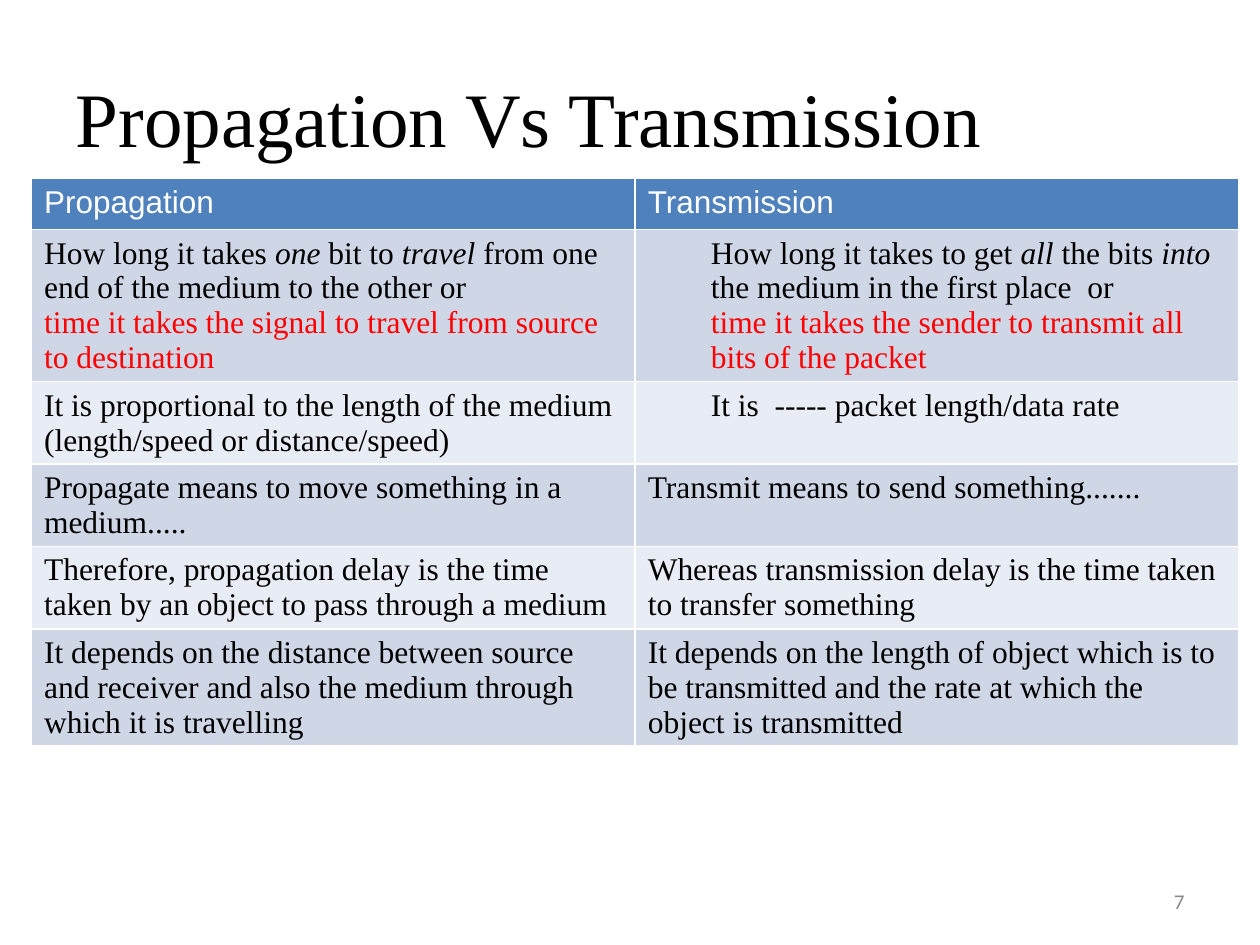
from pptx import Presentation
from pptx.dml.color import RGBColor
from pptx.enum.text import MSO_ANCHOR, PP_ALIGN
from pptx.util import Pt

COLORS = {
    "text": "000000",
    "key": "FF0000",
    "header_text": "FFFFFF",
    "header": "4F81BD",
    "odd_row": "CFD7E7",
    "even_row": "E8ECF4",
    "number": "888888",
}
SERIF = "Times New Roman"
INDENT = 36

HEADINGS = ["Propagation", "Transmission"]

# Each cell is a list of paragraphs, each paragraph a list of (text, style) spans.
DEFINITIONS = [
    [[("How long it takes ", "text"), ("one", "emphasis"), (" bit to ", "text"),
      ("travel ", "emphasis"), ("from one end of the medium to the other or", "text")],
     [("time it takes the signal to travel from source to destination", "key")]],
    [[("How long it takes to get ", "text"), ("all", "emphasis"), (" the bits ", "text"),
      ("into", "emphasis"), (" the medium in the first place  or", "text")],
     [("time it takes the sender to transmit all bits of the packet", "key")]],
]
COMPARISONS = [
    ("It is proportional to the length of the medium (length/speed or distance/speed)",
     "It is  ----- packet length/data rate"),
    ("Propagate means to move something in a medium.....",
     "Transmit means to send something......."),
    ("Therefore, propagation delay is the time taken by an object to pass through a medium",
     "Whereas transmission delay is the time taken to transfer something"),
    ("It depends on the distance between source and receiver and also the medium "
     "through which it is travelling",
     "It depends on the length of object which is to be transmitted and the rate "
     "at which the object is transmitted"),
]


def plain(text, style="text"):
    """Wrap a string as a cell with one paragraph of one span."""
    return [[(text, style)]]


class SlideBuilder:
    STYLES = {
        "title": ({"name": SERIF, "size": Pt(44)}, "text"),
        "header": ({"name": "Arial", "size": Pt(18)}, "header_text"),
        "text": ({"name": SERIF, "size": Pt(18)}, "text"),
        "emphasis": ({"name": SERIF, "size": Pt(18), "italic": True}, "text"),
        "key": ({"name": SERIF, "size": Pt(18)}, "key"),
        "number": ({"name": "Calibri", "size": Pt(12)}, "number"),
    }

    def __init__(self, slide):
        self.slide = slide

    def fill_text(self, frame, paragraphs, align=PP_ALIGN.LEFT, indent=0):
        for index, spans in enumerate(paragraphs):
            para = frame.paragraphs[0] if index == 0 else frame.add_paragraph()
            para.alignment = align
            if indent:
                properties = para._p.get_or_add_pPr()
                properties.set("marL", str(Pt(indent)))
                properties.set("indent", "0")
            for text, style in spans:
                span = para.add_run()
                span.text = text
                values, color = self.STYLES[style]
                for name, value in values.items():
                    setattr(span.font, name, value)
                span.font.color.rgb = RGBColor.from_string(COLORS[color])

    def title(self, text, left, top, width, height):
        box = self.slide.shapes.title
        place = {"left": left, "top": top, "width": width, "height": height}
        for name, value in place.items():
            setattr(box, name, Pt(value))
        box.text_frame.vertical_anchor = MSO_ANCHOR.MIDDLE
        self.fill_text(box.text_frame, plain(text, "title"))

    def table(self, rows, indented, left, top, width, height, row_height):
        """Fill a table; indented holds the (row, column) pairs set in from the left."""
        box = self.slide.shapes.add_table(
            len(rows), len(rows[0]), Pt(left), Pt(top), Pt(width), Pt(height))
        for row_index, row in enumerate(rows):
            box.table.rows[row_index].height = Pt(row_height)
            band = "odd_row" if row_index % 2 else "even_row"
            fill = COLORS[band if row_index else "header"]
            for column_index, paragraphs in enumerate(row):
                cell = box.table.cell(row_index, column_index)
                cell.fill.solid()
                cell.fill.fore_color.rgb = RGBColor.from_string(fill)
                indent = INDENT if (row_index, column_index) in indented else 0
                self.fill_text(cell.text_frame, paragraphs, indent=indent)
        box.height = Pt(height)

    def page_number(self, text, left, top, width, height):
        box = self.slide.shapes.add_textbox(Pt(left), Pt(top), Pt(width), Pt(height))
        box.text_frame.word_wrap = True
        box.text_frame.vertical_anchor = MSO_ANCHOR.MIDDLE
        self.fill_text(box.text_frame, plain(text, "number"), PP_ALIGN.RIGHT)


def main():
    deck = Presentation()
    deck.slide_width, deck.slide_height = Pt(720), Pt(540)
    page = SlideBuilder(deck.slides.add_slide(deck.slide_layouts[5]))

    rows = [[plain(heading, "header") for heading in HEADINGS], DEFINITIONS]
    rows += [[plain(text) for text in pair] for pair in COMPARISONS]
    page.table(rows, {(1, 1), (2, 1)}, 18, 102, 690, 346.5, row_height=29.2)
    page.page_number("7", 516, 500.5, 168, 28.75)
    page.title("Propagation Vs Transmission", 36, 21.6, 648, 90)
    deck.save("out.pptx")


if __name__ == "__main__":
    main()
